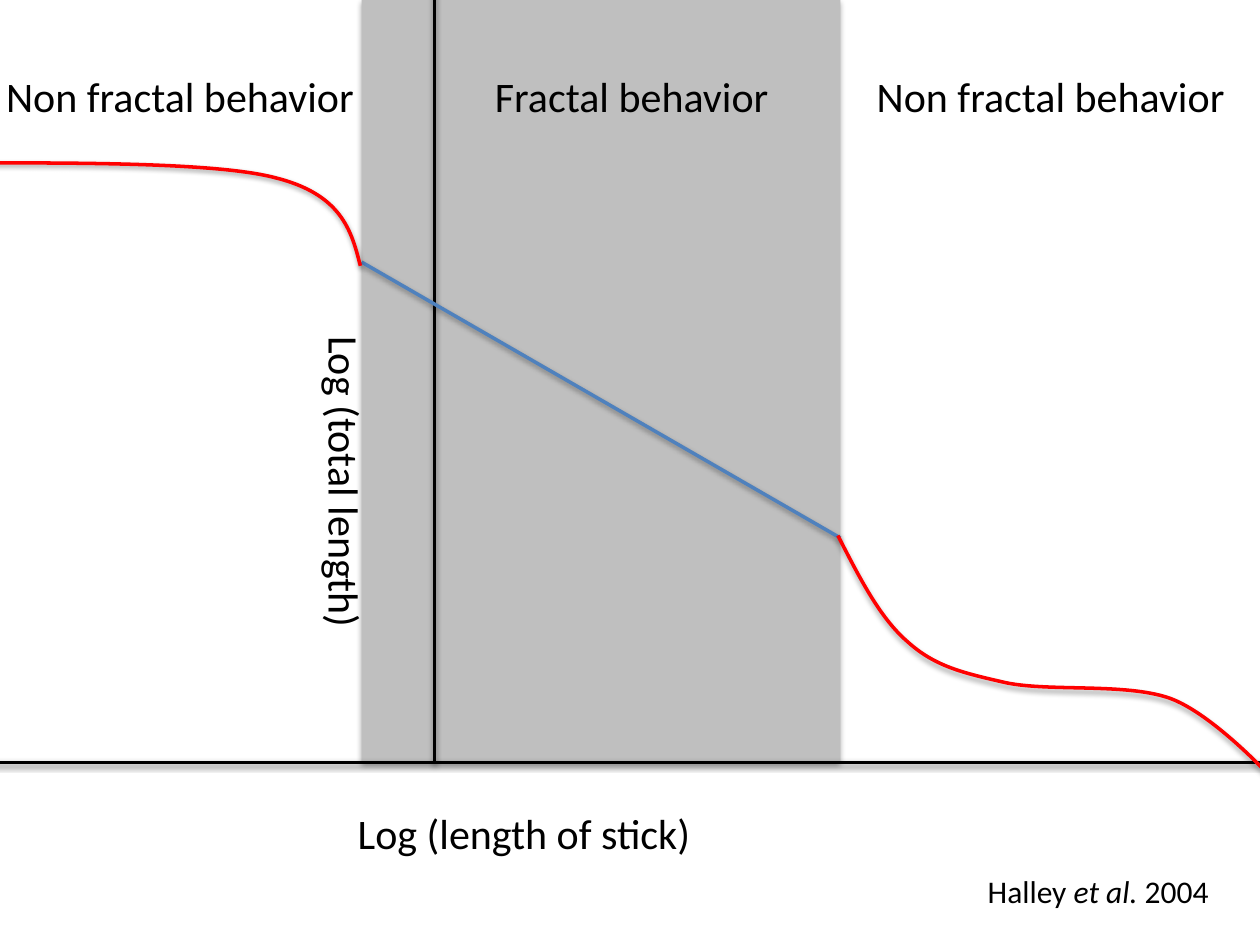
from lxml import etree
from pptx import Presentation
from pptx.dml.color import RGBColor
from pptx.enum.shapes import MSO_CONNECTOR as CONN, MSO_SHAPE as SHAPE
from pptx.enum.text import MSO_AUTO_SIZE as AUTO
from pptx.oxml.ns import qn
from pptx.util import Pt

PX = 9144  # EMU per px, 100 px to the inch


def rgb(code):
    return RGBColor.from_string(code)


def add_shadow(shape, dist, alpha):
    shape_pr = shape._element.spPr
    effects = etree.SubElement(shape_pr, qn("a:effectLst"))
    shadow = etree.SubElement(effects, qn("a:outerShdw"), blurRad=str(Pt(3.1)),
                              dist=str(Pt(dist)), dir="5400000", rotWithShape="0")
    color = etree.SubElement(shadow, qn("a:srgbClr"), val="000000")
    etree.SubElement(color, qn("a:alpha"), val=str(alpha * 1000))


prs = Presentation()
prs.slide_width, prs.slide_height = 1000 * PX, 750 * PX
s = prs.slides.add_slide(prs.slide_layouts[6])

# Grey band of the fractal range
band = s.shapes.add_shape(SHAPE.RECTANGLE, 287 * PX, 0, 380 * PX, 605 * PX)
band.fill.solid()
band.fill.fore_color.rgb = rgb("BFBFBF")
band.line.fill.background()
add_shadow(band, 1.8, 35)

# Axes and the straight fractal section
for x1, y1, x2, y2, color in [
    (-110, 605, 1183, 605, "000000"),
    (345, 605, 345, -22, "000000"),
    (287, 208, 667, 427, "4F81BD"),
]:
    line = s.shapes.add_connector(CONN.STRAIGHT, x1 * PX, y1 * PX, x2 * PX, y2 * PX)
    line.line.color.rgb = rgb(color)
    line.line.width = Pt(2)
    add_shadow(line, 1.6, 38)

# Non-fractal curves: a start point, then Bezier segments (two controls and an end)
right_curve = [(665, 425), (682, 458), (698, 490), (720, 509), (742, 529),
               (764, 534), (799, 542), (834, 549), (893, 542), (928, 554),
               (962, 566), (1008, 616), (1008, 616)]
left_curve = [(286, 211), (279, 183), (271, 154), (218, 141), (165, 127),
              (20, 130), (-33, 129), (-85, 127), (-98, 134), (-98, 134)]
for curve in (right_curve, left_curve):
    builder = s.shapes.build_freeform(*curve[0], scale=PX)
    builder.add_line_segments(curve[1:], close=False)
    sp = builder.convert_to_shape()
    # Every three line steps become one cubic segment
    steps = list(sp._element.iter(qn("a:lnTo")))
    for i in range(0, len(steps), 3):
        cubic = etree.Element(qn("a:cubicBezTo"))
        steps[i].addprevious(cubic)
        for step in steps[i:i + 3]:
            cubic.append(step[0])
            step.getparent().remove(step)
    sp.fill.background()
    sp.line.color.rgb = rgb("FF0000")
    sp.line.width = Pt(2)
    add_shadow(sp, 1.6, 38)

# Labels: left, top, width, height, rotation, size, runs (text, italic)
for x, y, w, h, rotation, size, runs in [
    (274, 636, 542, 50, 0, 24, [("Log (length of stick)", False)]),
    (128, 378, 292, 50, 90, 24, [("Log (total length)", False)]),
    (383, 51, 247, 50, 0, 24, [("Fractal behavior", False)]),
    (686, 51, 314, 50, 0, 24, [("Non fractal behavior", False)]),
    (-5, 51, 314, 50, 0, 24, [("Non fractal behavior", False)]),
    (774, 687, 235, 40, 0, 18, [("Halley ", False), ("et al. ", True), ("2004", False)]),
]:
    box = s.shapes.add_textbox(x * PX, y * PX, w * PX, h * PX)
    box.rotation = rotation
    tf = box.text_frame
    tf.word_wrap = True
    tf.auto_size = AUTO.SHAPE_TO_FIT_TEXT
    p = tf.paragraphs[0]
    for text, italic in runs:
        r = p.add_run()
        r.text = text
        r.font.name = "Calibri"
        r.font.size = Pt(size)
        r.font.italic = italic
        r.font.color.rgb = rgb("000000")

prs.save("out.pptx")
